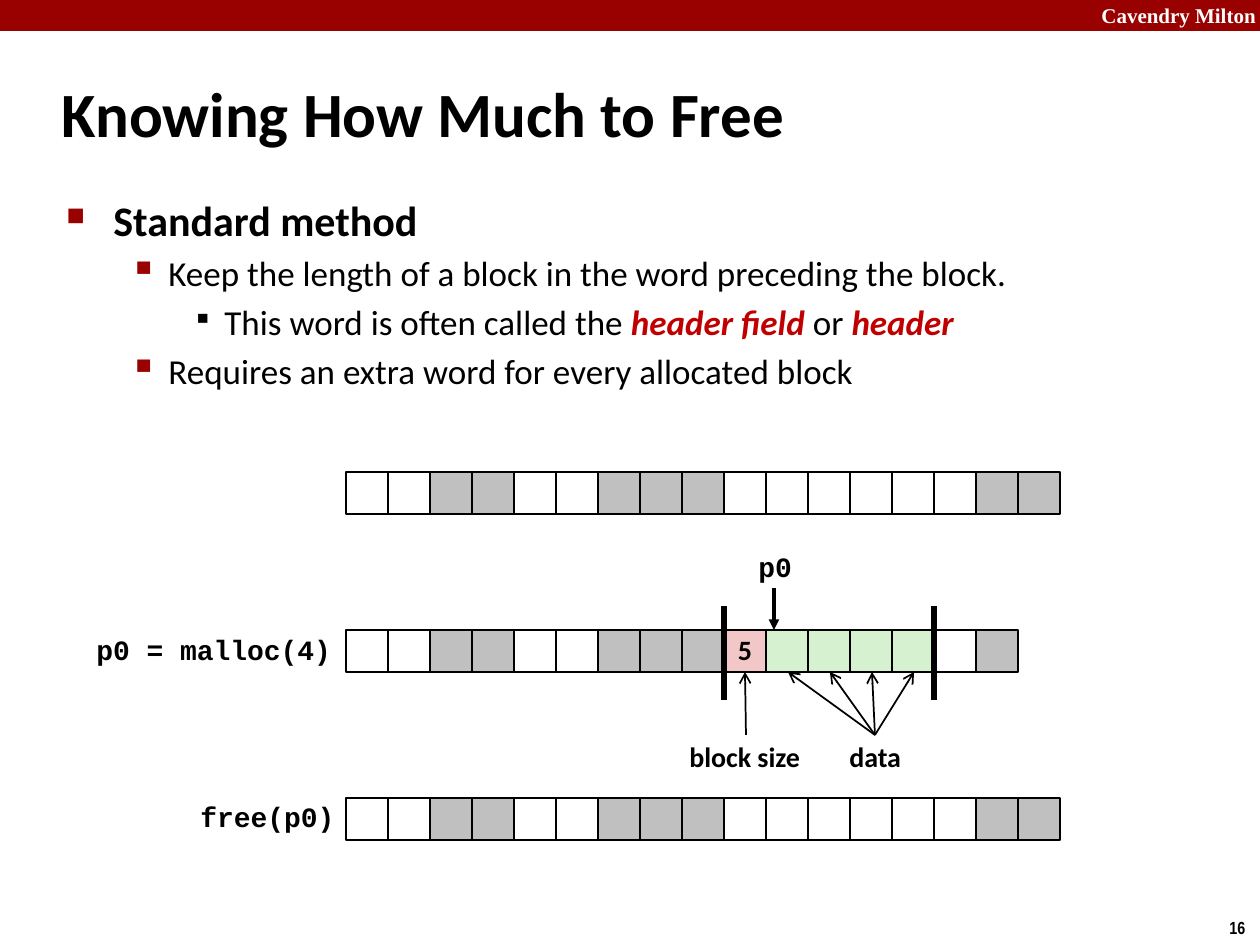
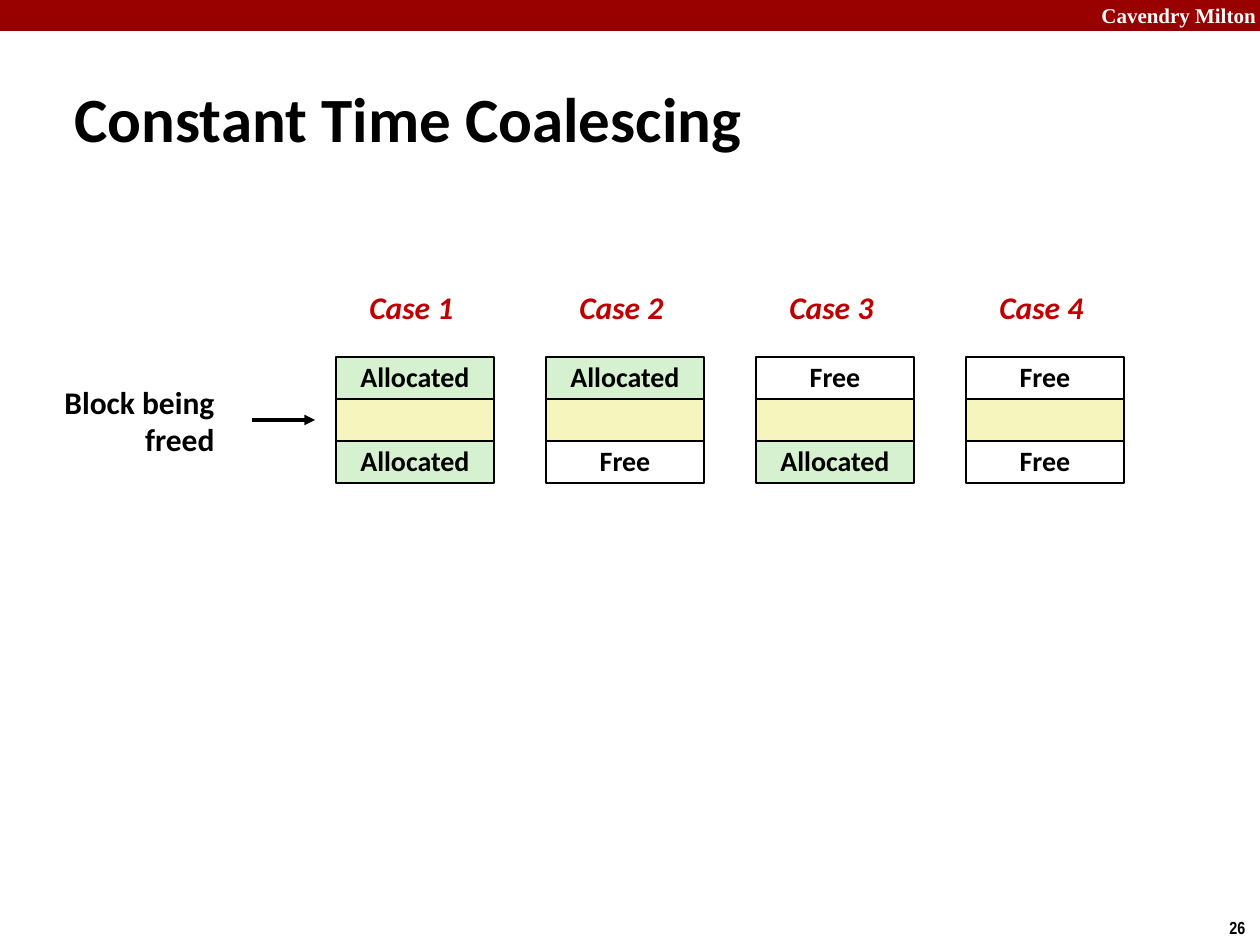
from pptx import Presentation
from pptx.dml.color import RGBColor
from pptx.enum.shapes import MSO_CONNECTOR as Connector, MSO_SHAPE as Shape
from pptx.enum.text import MSO_ANCHOR as Anchor, PP_ALIGN as Align
from pptx.oxml.ns import qn
from pptx.util import Pt
from lxml.etree import SubElement

# Shared look
SCALE = 914400 / 126
RED, ACCENT, BLACK, WHITE = "990000", "C00000", "000000", "FFFFFF"
GRAY, GREEN, PINK, YELLOW = "C0C0C0", "D5F1CF", "F1C7C7", "F6F5BD"
BODY, CODE = "Calibri", "Courier New"
BAND_NAME = "Cavendry Milton"
CELL = 42

# Slide 1 content
FREE_TITLE = ("Knowing How Much to Free", (49, 60, 1046, 105), 16)
TERM = dict(color=ACCENT, bold=True, italic=True)
OUTLINE = [
    (0, [("Standard method", {})]),
    (1, [("Keep the length of a block in the word preceding the block.", {})]),
    (2, [("This word is often called the ", {}), ("header field ", TERM),
         ("or ", {}), ("header", TERM)]),
    (1, [("Requires an extra word for every allocated block", {})]),
]
LEVELS = [  # size, bold, left margin, hanging indent, bullet, its colour and percent
    dict(size=24, bold=True, margin=47, hang=47, bullet=("■", RED, 60)),
    dict(size=20, bold=False, margin=102, hang=39, bullet=("▪", RED, 110)),
    dict(size=20, bold=False, margin=158, hang=32, bullet=("▪", BLACK, 80)),
]
HEAP_LEFT = 346
HEAP_FILLS = {".": WHITE, "#": GRAY, "h": PINK, "d": GREEN}
HEAP_ROWS = [  # top, words
    (472, "..##..###......##"),
    (630, "..##..###hdddd.#"),
    (798, "..##..###......##"),
]
HEADER_TEXT = "5"
CODE_LABELS = [
    ("p0 = malloc(4)", (84, 629, 264, 45)),
    ("p0", (746, 546, 59, 44)),
    ("free(p0)", (188, 796, 161, 45)),
]
PART_LABELS = [
    ("block size", (677, 735, 137, 46)),
    ("data", (837, 735, 77, 46)),
]

# Slide 2 content
COALESCE_TITLE = ("Constant Time Coalescing", (62, 78, 968, 79), 26)
CASES = [
    ("Case 1", "Allocated", "Allocated"),
    ("Case 2", "Allocated", "Free"),
    ("Case 3", "Free", "Allocated"),
    ("Case 4", "Free", "Free"),
]
CASE_FILLS = {"Allocated": GREEN, "Free": WHITE, "": YELLOW}
CASE_LEFT, CASE_TOP, CASE_WIDTH, CASE_STEP = 336, 357, 158, 210
FREED_LABEL = ["Block being", "freed"]


def px(length):
    return round(length * SCALE)


def rgb(color):
    return RGBColor.from_string(color)


def add_bullet(para, char, color, percent):
    properties = para._p.get_or_add_pPr()
    fill = SubElement(properties, qn("a:buClr"))
    SubElement(fill, qn("a:srgbClr"), val=color)
    SubElement(properties, qn("a:buSzPct"), val=str(percent * 1000))
    SubElement(properties, qn("a:buChar"), char=char)


def write(para, text, size=16, font=BODY, color=BLACK, bold=True, italic=False,
          align=Align.LEFT, spacing=None):
    """Add one formatted run to a paragraph."""
    para.alignment = align
    if spacing:
        para.line_spacing = spacing
    span = para.add_run()
    span.text = text
    span.font.size, span.font.name = Pt(size), font
    span.font.bold, span.font.italic = bold, italic
    span.font.color.rgb = rgb(color)


def add_text(page, lines, place, wrap=False, **style):
    box = page.shapes.add_textbox(*map(px, place))
    frame = box.text_frame
    frame.word_wrap = wrap
    for index, line in enumerate(lines):
        para = frame.add_paragraph() if index else frame.paragraphs[0]
        write(para, line, **style)


def add_block(page, place, fill, text="", line=BLACK):
    block = page.shapes.add_shape(Shape.RECTANGLE, *map(px, place))
    block.shadow.inherit = False
    block.fill.solid()
    block.fill.fore_color.rgb = rgb(fill)
    if line:
        block.line.color.rgb = rgb(line)
        block.line.width = Pt(1)
    else:
        block.line.fill.background()
    if text:
        block.text_frame.word_wrap = False
        block.text_frame.vertical_anchor = Anchor.MIDDLE
        write(block.text_frame.paragraphs[0], text, align=Align.CENTER, spacing=0.98)


def add_line(page, start, end, width=1, head=None):
    line = page.shapes.add_connector(Connector.STRAIGHT, *map(px, (*start, *end)))
    line.line.color.rgb = rgb(BLACK)
    line.line.width = Pt(width)
    properties = line._element.spPr
    if head:
        SubElement(properties.find(qn("a:ln")), qn("a:tailEnd"), type=head)
    SubElement(properties, qn("a:effectLst"))


def add_page(deck, title, place, number):
    """Start a slide with the red band, page number and title."""
    page = deck.slides.add_slide(deck.slide_layouts[5])
    add_block(page, (0, 0, 1260, 31), RED, line=None)
    add_text(page, [BAND_NAME], (1089, -4, 180, 38), wrap=True,
             size=12, font="Times New Roman", color=WHITE)
    add_text(page, [str(number)], (1217, 911, 43, 34), size=10, font="Arial Narrow")
    heading = page.shapes.title
    heading.left, heading.top, heading.width, heading.height = map(px, place)
    heading.text_frame.vertical_anchor = Anchor.MIDDLE
    write(heading.text_frame.paragraphs[0], title, size=36)
    return page


def add_outline(page, outline, place):
    frame = page.shapes.add_textbox(*map(px, place)).text_frame
    frame.word_wrap = True
    for index, (level, spans) in enumerate(outline):
        para = frame.add_paragraph() if index else frame.paragraphs[0]
        look = LEVELS[level]
        para.level = level
        para.space_before = Pt(look["size"] * 0.2)
        properties = para._p.get_or_add_pPr()
        properties.set("marL", str(px(look["margin"])))
        properties.set("indent", str(-px(look["hang"])))
        add_bullet(para, *look["bullet"])
        for text, change in spans:
            write(para, text, **{"size": look["size"], "bold": look["bold"], **change})


deck = Presentation()
deck.slide_width, deck.slide_height = px(1260), px(945)

# Slide 1: outline, heap rows and labels
page = add_page(deck, *FREE_TITLE)
add_outline(page, OUTLINE, (54, 188, 1089, 685))
for top, words in HEAP_ROWS:
    for index, word in enumerate(words):
        add_block(page, (HEAP_LEFT + index * CELL, top, CELL, CELL),
                  HEAP_FILLS[word], HEADER_TEXT if word == "h" else "")
for text, place in CODE_LABELS:
    add_text(page, [text], place, font=CODE, spacing=0.94)
for text, place in PART_LABELS:
    add_text(page, [text], place, spacing=0.98)

# Slide 1: block bounds, pointer and arrows from the labels to the words
block_top, block_words = HEAP_ROWS[1]
block_bottom = block_top + CELL
header = block_words.index("h")
block_left = HEAP_LEFT + header * CELL
data_count = block_words.count("d")
for x in (block_left, block_left + (data_count + 1) * CELL):
    add_line(page, (x, 606), (x, 700), width=3)
add_line(page, (774, 588), (774, block_top), width=2, head="triangle")
add_line(page, (746, 735), (block_left + CELL // 2, block_bottom), head="arrow")
for index in range(1, data_count + 1):
    target = block_left + index * CELL + CELL // 2 + 1
    add_line(page, (875, 735), (target, block_bottom), head="arrow")

# Slide 2: four cases around the block being freed
page = add_page(deck, *COALESCE_TITLE)
for column, (name, before, after) in enumerate(CASES):
    left = CASE_LEFT + column * CASE_STEP
    add_text(page, [name], (left + 21, 284, 110, 50),
             size=18, color=ACCENT, italic=True, spacing=0.98)
    for row, state in enumerate((before, "", after)):
        add_block(page, (left, CASE_TOP + row * CELL, CASE_WIDTH, CELL),
                  CASE_FILLS[state], state)
add_text(page, FREED_LABEL, (50, 379, 177, 88), size=18, align=Align.RIGHT, spacing=0.98)
add_line(page, (252, 420), (315, 420), width=2, head="triangle")

deck.save("out.pptx")
